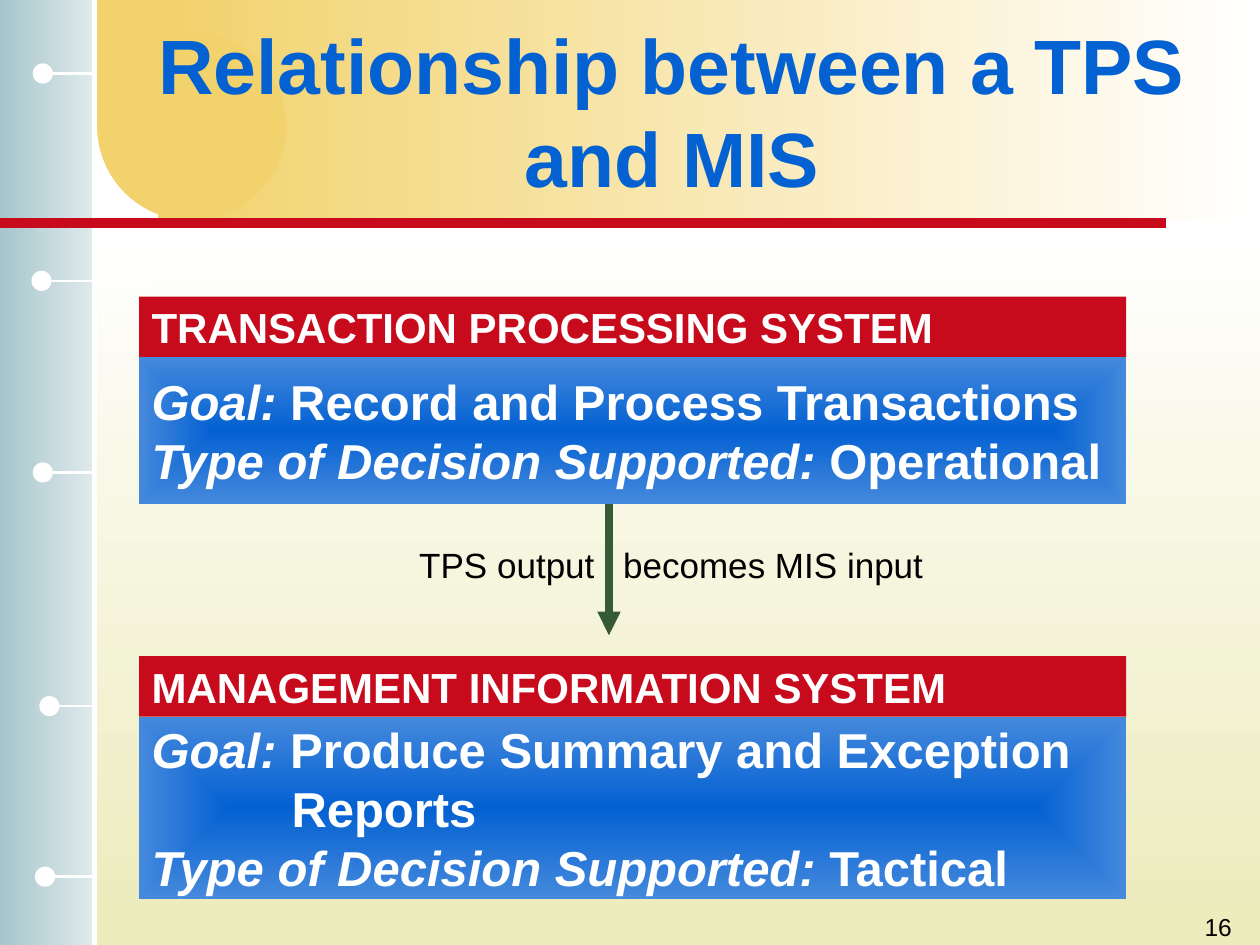
from lxml import etree
from pptx import Presentation
from pptx.dml.color import RGBColor
from pptx.enum.shapes import MSO_CONNECTOR as CON, MSO_SHAPE as GEO
from pptx.enum.text import MSO_ANCHOR as ANC, PP_ALIGN as AL
from pptx.oxml import parse_xml
from pptx.oxml.ns import nsdecls, qn
from pptx.util import Pt

WHITE, GOLD, RED, BLUE = "FFFFFF", "F2D26C", "C70B1D", "0461D2"
CENTER = '<a:path path="rect"><a:fillToRect l="50000" t="50000" r="50000" b="50000"/></a:path>'
DOWN, LEFT = '<a:lin ang="5400000"/>', '<a:lin ang="10800000"/>'


def rgb(hue):
    return RGBColor.from_string(hue)


def block(kind, x, y, w, h, hue, end=None, way=None):
    """Borderless shape, solid or with a gradient from hue to end."""
    part = slide.shapes.add_shape(kind, Pt(x), Pt(y), Pt(w), Pt(h))
    part.shadow.inherit = False
    part.line.fill.background()
    part.fill.solid()
    part.fill.fore_color.rgb = rgb(hue)
    if end:
        old = part.element.spPr.find(qn("a:solidFill"))
        old.getparent().replace(old, parse_xml(
            f'<a:gradFill {nsdecls("a")} rotWithShape="1"><a:gsLst>'
            f'<a:gs pos="0"><a:srgbClr val="{hue}"/></a:gs>'
            f'<a:gs pos="100000"><a:srgbClr val="{end}"/></a:gs>'
            f'</a:gsLst>{way}</a:gradFill>'))
    return part


def rule(x1, y1, x2, y2, hue, size):
    line = slide.shapes.add_connector(CON.STRAIGHT, Pt(x1), Pt(y1), Pt(x2), Pt(y2))
    line.line.color.rgb = rgb(hue)
    line.line.width = Pt(size)
    etree.SubElement(line.element.spPr, qn("a:effectLst"))
    return line


deck = Presentation()
deck.slide_width, deck.slide_height = Pt(720), Pt(540)
slide = deck.slides.add_slide(deck.slide_layouts[6])

# Backdrop
block(GEO.RECTANGLE, 52.5, 127.5, 667.5, 412.5, WHITE, "ECEBBB", DOWN)
block(GEO.RECTANGLE, 0, 0, 54, 540, "E0EAEC", "A6C5CC", LEFT)
block(GEO.RECTANGLE, 90, 0, 630, 126, WHITE, GOLD, LEFT)
block(GEO.OVAL, 55.5, 18, 108, 108, GOLD)
block(GEO.RECTANGLE, 55.5, 0, 48, 69, GOLD)
rule(54, 0, 54, 540, WHITE, 3)

# Pins on the side bar
for dot, mid, end in [(18.75, 42, 54), (18, 160.5, 84), (18.75, 270, 52.5),
                      (22.5, 403.5, 54), (20, 501, 52.5)]:
    rule(dot + 11.5, mid, end, mid, WHITE, 1.5)
    block(GEO.OVAL, dot, mid - 5.75, 11.5, 11.5, WHITE)
rule(0, 127.5, 666, 127.5, RED, 6)

# Arrow between the systems
arrow = rule(348, 282, 348, 363, "355B35", 4.5)
etree.SubElement(arrow.line._get_or_add_ln(), qn("a:tailEnd"), type="triangle")

# Systems: banner above a panel of (italic label, value) lines
systems = [
    (169.5, 84, "TRANSACTION PROCESSING SYSTEM",
     [("Goal:", " Record and Process Transactions"),
      ("Type of Decision Supported:", " Operational")]),
    (375, 104, "MANAGEMENT INFORMATION SYSTEM",
     [("Goal:", " Produce Summary and Exception"), ("", "Reports"),
      ("Type of Decision Supported:", " Tactical")]),
]
for top, tall, name, rows in systems:
    panel = block(GEO.RECTANGLE, 79.5, top + 34.5, 564, tall, BLUE, "4589DC", CENTER)
    banner = block(GEO.RECTANGLE, 79.5, top, 564, 34.5, RED)
    for part, size, lines in [(banner, 24, [("", name)]), (panel, 28, rows)]:
        frame = part.text_frame
        frame.word_wrap = True
        frame.vertical_anchor = ANC.MIDDLE
        for i, (label, value) in enumerate(lines):
            para = frame.add_paragraph() if i else frame.paragraphs[0]
            para.alignment = AL.LEFT
            if i and not label:  # continued line lines up with the value above
                para._p.get_or_add_pPr().set("marL", str(Pt(80)))
            font = para.font
            font.name, font.size, font.bold = "Arial", Pt(size), True
            font.color.rgb = rgb(WHITE)
            if label:
                run = para.add_run()
                run.text = label
                run.font.italic = True
            para.add_run().text = value

# Title, arrow caption and page number
for x, y, w, h, text, size, hue, bold, align, anchor in [
    (78, 18, 612, 90, "Relationship between a TPS and MIS", 44, BLUE, True, AL.CENTER, ANC.MIDDLE),
    (232.5, 306.75, 302.5, 31.5, "TPS output\tbecomes MIS input", 20, "000000", False, AL.LEFT, ANC.TOP),
    (561, 517.5, 150, 22.5, "16", 14, "000000", False, AL.RIGHT, ANC.TOP),
]:
    frame = slide.shapes.add_textbox(Pt(x), Pt(y), Pt(w), Pt(h)).text_frame
    frame.word_wrap = True
    frame.vertical_anchor = anchor
    para = frame.paragraphs[0]
    para.text = text
    para.alignment = align
    if "\t" in text:  # tab stop just right of the arrow
        tabs = etree.SubElement(para._p.get_or_add_pPr(), qn("a:tabLst"))
        etree.SubElement(tabs, qn("a:tab"), pos=str(Pt(116.5)), algn="l")
    font = para.font
    font.name, font.size, font.bold = "Arial", Pt(size), bold
    font.color.rgb = rgb(hue)

deck.save("out.pptx")
